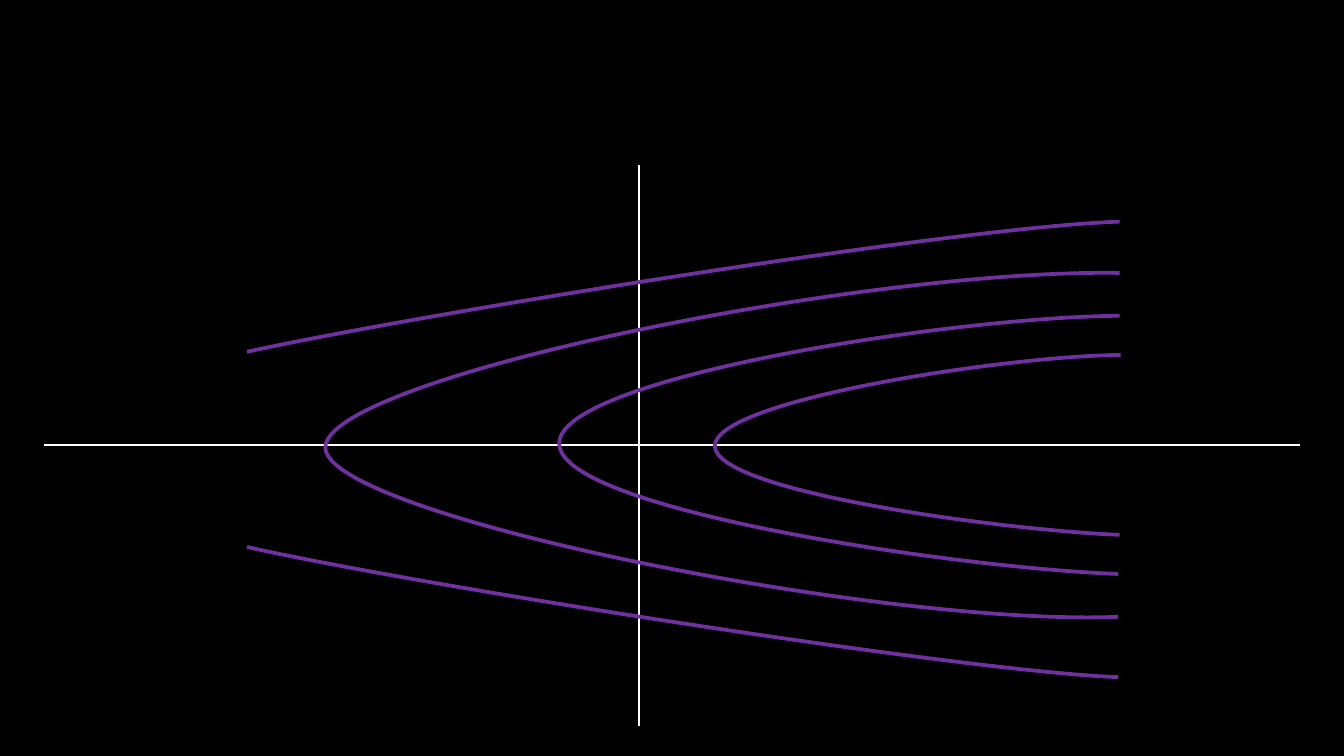
from dataclasses import dataclass

import lxml.etree
import pptx
import pptx.dml.color
import pptx.enum.shapes
import pptx.oxml.ns
import pptx.shapes.shapetree
import pptx.util
from pptx.util import Cm

BLACK = pptx.dml.color.RGBColor(0x00, 0x00, 0x00)
WHITE = pptx.dml.color.RGBColor(0xFF, 0xFF, 0xFF)
PURPLE = pptx.dml.color.RGBColor(0x70, 0x30, 0xA0)

Point = tuple[float, float]


@dataclass(frozen=True)
class Axis:
    start: Point
    end: Point


@dataclass(frozen=True)
class Curve:
    """A start point, then two control points and an end point per segment, in cm."""
    points: tuple[Point, ...]


AXES = (
    Axis((12.07, 3.12), (12.07, 13.72)),
    Axis((0.84, 8.41), (24.56, 8.41)),
)

CURVES = (
    Curve(((21.16, 10.11), (19.02, 10.03), (13.51, 9.3), (13.51, 8.43),
           (13.51, 7.57), (18.97, 6.73), (21.18, 6.71))),
    Curve(((21.13, 10.85), (18.08, 10.74), (10.54, 9.63), (10.57, 8.38),
           (10.57, 7.14), (18.01, 5.99), (21.16, 5.97))),
    Curve(((21.13, 11.66), (16.61, 11.84), (6.15, 9.73), (6.15, 8.46),
           (6.15, 7.16), (16.23, 5.08), (21.16, 5.16))),
    Curve(((21.13, 12.8), (18.29, 12.7), (7.92, 11.07), (4.67, 10.34))),
    Curve(((4.67, 6.65), (7.92, 5.94), (18.11, 4.29), (21.16, 4.19))),
)


def draw_axis(shapes: pptx.shapes.shapetree.SlideShapes, axis: Axis) -> None:
    sp = shapes.add_connector(
        pptx.enum.shapes.MSO_CONNECTOR.STRAIGHT,
        *(Cm(v) for v in axis.start + axis.end))
    sp.line.color.rgb = WHITE
    sp.line.width = pptx.util.Pt(1)
    lxml.etree.SubElement(sp._element.spPr, pptx.oxml.ns.qn("a:effectLst"))


def draw_curve(shapes: pptx.shapes.shapetree.GroupShapes, curve: Curve) -> None:
    """Draw an open freeform and turn each three line steps into one Bézier segment."""
    start, *rest = [(Cm(x), Cm(y)) for x, y in curve.points]
    builder = shapes.build_freeform(*start)
    builder.add_line_segments(rest, close=False)
    sp = builder.convert_to_shape()
    sp.shadow.inherit = False
    sp.fill.background()
    sp.line.color.rgb = PURPLE
    sp.line.width = pptx.util.Pt(2)

    steps = list(sp._element.iter(pptx.oxml.ns.qn("a:lnTo")))
    outline = steps[0].getparent()
    for i in range(0, len(steps), 3):
        bezier = lxml.etree.SubElement(outline, pptx.oxml.ns.qn("a:cubicBezTo"))
        for step in steps[i:i + 3]:
            bezier.append(step[0])
            outline.remove(step)


def main() -> None:
    prs = pptx.Presentation()
    prs.slide_width, prs.slide_height = Cm(25.4), Cm(14.29)
    s = prs.slides.add_slide(prs.slide_layouts[6])
    s.background.fill.solid()
    s.background.fill.fore_color.rgb = BLACK

    for axis in AXES:
        draw_axis(s.shapes, axis)
    level_curves = s.shapes.add_group_shape()
    for curve in CURVES:
        draw_curve(level_curves.shapes, curve)

    prs.save("out.pptx")


if __name__ == "__main__":
    main()
